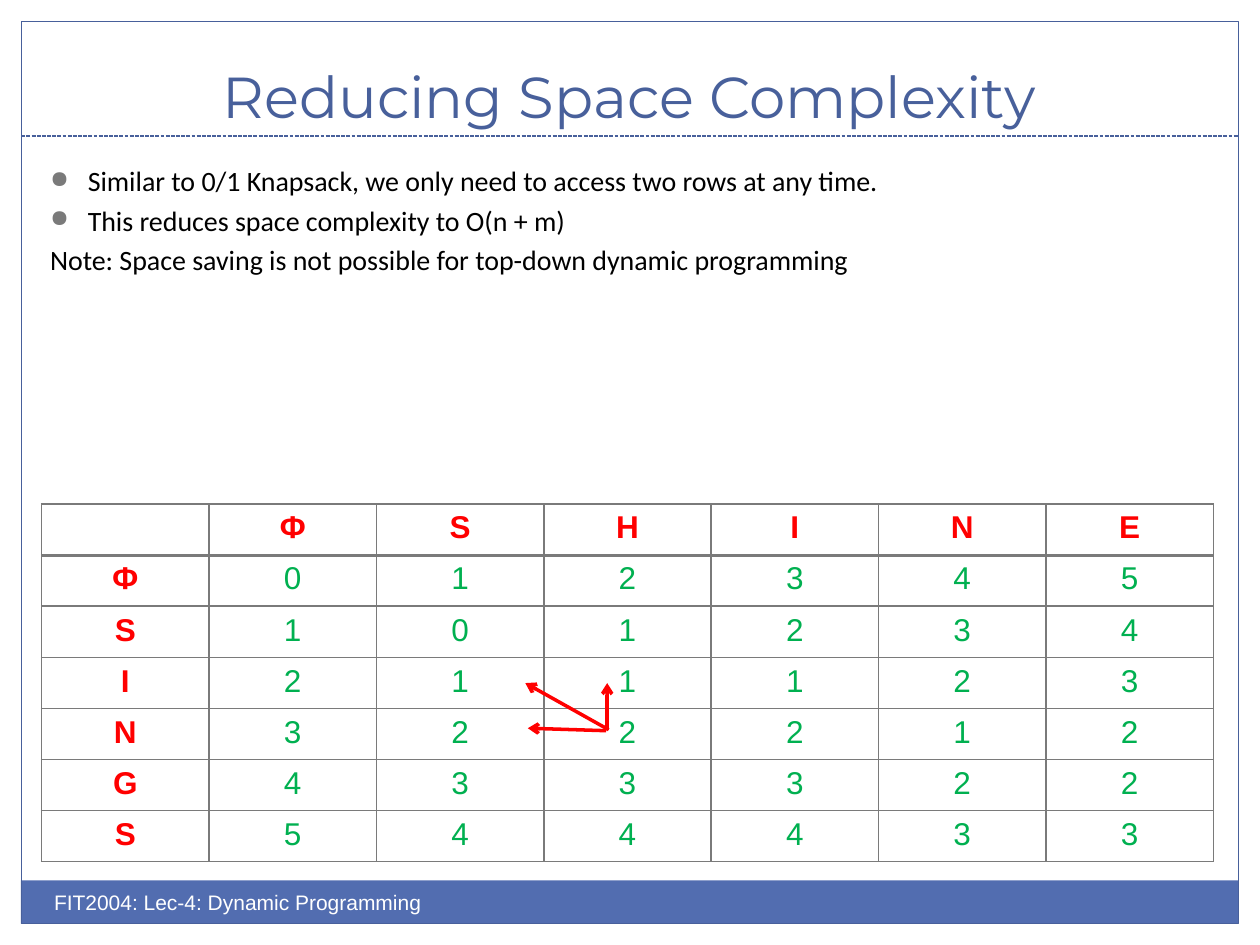
from typing import NamedTuple

from lxml import etree
from pptx import Presentation
from pptx import util as u
from pptx.dml import color
from pptx.enum import dml, shapes, text
from pptx.oxml import ns

WHITE = color.RGBColor(0xFF, 0xFF, 0xFF)
BLACK = color.RGBColor(0x00, 0x00, 0x00)
NAVY = color.RGBColor(0x48, 0x60, 0x9B)
BLUE = color.RGBColor(0x52, 0x6D, 0xB0)
GREY = color.RGBColor(0x7A, 0x7A, 0x7A)
RED = color.RGBColor(0xFF, 0x00, 0x00)
GREEN = color.RGBColor(0x00, 0xB0, 0x50)

TITLE_FORMAT = {"name": "Montserrat", "size": u.Pt(33), "color": NAVY}
BODY_FORMAT = {"name": "Calibri", "size": u.Pt(16), "color": BLACK}
FOOTER_FORMAT = {"name": "Arial", "size": u.Pt(12), "color": WHITE}
LETTER_FORMAT = {"name": "Arial", "size": u.Pt(18), "color": RED, "bold": True}
DISTANCE_FORMAT = {**LETTER_FORMAT, "color": GREEN, "bold": False}


class Box(NamedTuple):
    """Left, top, width and height in centimetres."""
    left: float
    top: float
    width: float
    height: float

    def lengths(self) -> list:
        return [u.Cm(value) for value in self]


class Segment(NamedTuple):
    """Start and end points in centimetres."""
    x1: float
    y1: float
    x2: float
    y2: float


class Line(NamedTuple):
    words: str
    bulleted: bool


FRAME = Box(0.43, 0.43, 24.54, 18.19)
FOOTER_BAR = Box(0.42, 17.75, 24.54, 0.87)
TITLE_RULE = Segment(0.43, 2.74, 24.97, 2.74)
TITLE_BOX = Box(0.84, 0.64, 23.7, 2.11)
BODY_BOX = Box(0.76, 3.18, 23.72, 6.99)
TABLE_BOX = Box(0.84, 10.16, 23.62, 7.21)
FOOTER_BOX = Box(0.84, 17.81, 12.7, 1.02)

BODY = [
    Line("Similar to 0/1 Knapsack, we only need to access two rows at any time.", True),
    Line("This reduces space complexity to O(n + m)", True),
    Line("Note: Space saving is not possible for top-down dynamic programming", False),
]
COLUMN_WORD = "ΦSHINE"
ROW_WORD = "ΦSINGS"
DISTANCES = ["012345", "101234", "211123", "322212", "433322", "544433"]
DEPENDENCIES = [
    Segment(12.22, 14.73, 10.64, 14.68),
    Segment(12.24, 14.71, 12.24, 13.77),
    Segment(12.27, 14.71, 10.59, 13.77),
]


def add_element(parent, tag: str, **attributes: str):
    return etree.SubElement(parent, ns.qn(tag), attributes)


def apply_format(font, values: dict) -> None:
    for key, value in values.items():
        if key == "color":
            font.color.rgb = value
        else:
            setattr(font, key, value)


def add_panel(slide, box: Box, fill=None, outline=None) -> None:
    panel = slide.shapes.add_shape(shapes.MSO_SHAPE.RECTANGLE, *box.lengths())
    panel.shadow.inherit = False
    if fill is None:
        panel.fill.background()
    else:
        panel.fill.solid()
        panel.fill.fore_color.rgb = fill
    if outline is None:
        panel.line.fill.background()
    else:
        panel.line.color.rgb = outline
        panel.line.width = u.Pt(0.75)


def add_segment(collection, segment: Segment, rgb, points: float,
                dash=None, arrow: bool = False) -> None:
    stroke = collection.add_connector(
        shapes.MSO_CONNECTOR.STRAIGHT, *[u.Cm(value) for value in segment])
    stroke.line.color.rgb = rgb
    stroke.line.width = u.Pt(points)
    if dash is not None:
        stroke.line.dash_style = dash
    if arrow:
        add_element(stroke.line._get_or_add_ln(), "a:tailEnd", type="arrow")
    add_element(stroke._element.spPr, "a:effectLst")


def add_bullet(paragraph) -> None:
    properties = paragraph._p.get_or_add_pPr()
    indent = u.Cm(0.76)
    properties.set("marL", str(indent))
    properties.set("indent", str(-indent))
    add_element(add_element(properties, "a:buClr"), "a:srgbClr", val=str(GREY))
    add_element(properties, "a:buSzPct", val="85000")
    add_element(properties, "a:buChar", char="●")


def add_text(slide, box: Box, lines: list[Line], font_format: dict,
             align=text.PP_ALIGN.LEFT, anchor=text.MSO_ANCHOR.TOP,
             space_before: float = 0) -> None:
    frame = slide.shapes.add_textbox(*box.lengths()).text_frame
    frame.word_wrap = True
    frame.vertical_anchor = anchor
    for index, line in enumerate(lines):
        paragraph = frame.add_paragraph() if index else frame.paragraphs[0]
        paragraph.alignment = align
        paragraph.space_before = u.Pt(space_before)
        if line.bulleted:
            add_bullet(paragraph)
        run = paragraph.add_run()
        run.text = line.words
        apply_format(run.font, font_format)


def set_borders(cell, widths: dict[str, float]) -> None:
    properties = cell._tc.get_or_add_tcPr()
    for side, points in widths.items():
        border = add_element(properties, f"a:ln{side}", w=str(u.Pt(points)))
        add_element(add_element(border, "a:solidFill"), "a:srgbClr", val=str(GREY))


def add_distance_table(slide) -> None:
    rows = [" " + COLUMN_WORD] + [
        letter + digits for letter, digits in zip(ROW_WORD, DISTANCES)]
    table = slide.shapes.add_table(
        len(rows), len(rows[0]), *TABLE_BOX.lengths()).table
    table.first_row = table.horz_banding = False
    for r, row in enumerate(rows):
        for c, entry in enumerate(row):
            cell = table.cell(r, c)
            # The rule below the header row is heavier
            set_borders(cell, {"L": 1, "R": 1, "T": 2 if r == 1 else 1,
                               "B": 2 if r == 0 else 1})
            cell.fill.solid()
            cell.fill.fore_color.rgb = WHITE
            paragraph = cell.text_frame.paragraphs[0]
            paragraph.alignment = text.PP_ALIGN.CENTER
            paragraph.font.size = u.Pt(18)
            if entry.strip():
                run = paragraph.add_run()
                run.text = entry
                apply_format(run.font, DISTANCE_FORMAT if r and c else LETTER_FORMAT)


def main() -> None:
    deck = Presentation()
    deck.slide_width, deck.slide_height = u.Cm(25.4), u.Cm(19.05)
    slide = deck.slides.add_slide(deck.slide_layouts[6])

    # Frame, footer bar and title rule
    add_panel(slide, FOOTER_BAR, fill=BLUE)
    add_panel(slide, FRAME, outline=NAVY)
    add_segment(slide.shapes, TITLE_RULE, NAVY, 0.75, dash=dml.MSO_LINE.SQUARE_DOT)

    # Title
    add_text(slide, TITLE_BOX, [Line("Reducing Space Complexity", False)],
             TITLE_FORMAT, text.PP_ALIGN.CENTER, text.MSO_ANCHOR.BOTTOM)

    # Edit distance table and explanation
    add_distance_table(slide)
    add_text(slide, BODY_BOX, BODY, BODY_FORMAT, space_before=3.2)

    # Arrows to the cells that one entry depends on
    arrows = slide.shapes.add_group_shape().shapes
    for dependency in DEPENDENCIES:
        add_segment(arrows, dependency, RED, 2, arrow=True)

    # Footer
    add_text(slide, FOOTER_BOX,
             [Line("FIT2004: Lec-4: Dynamic Programming", False)], FOOTER_FORMAT)

    deck.save("out.pptx")


if __name__ == "__main__":
    main()
